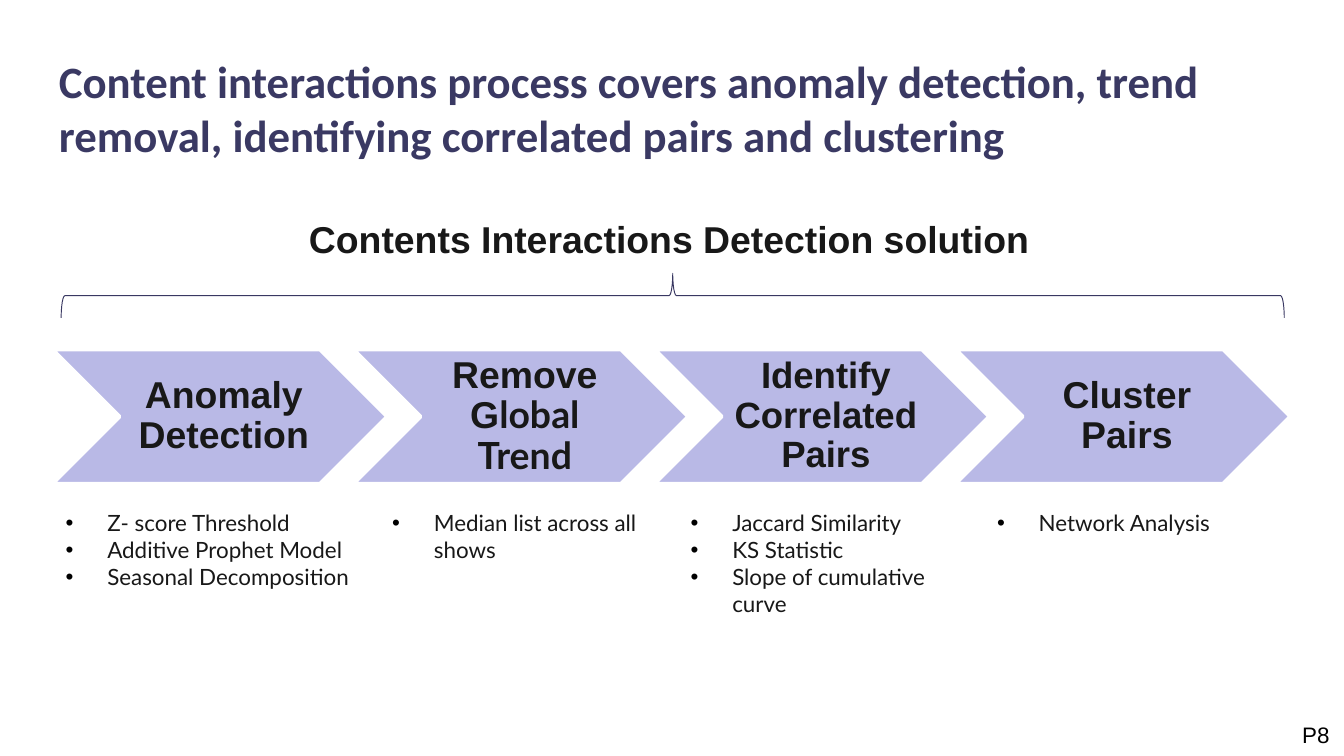
from lxml.etree import SubElement
from pptx import Presentation
from pptx.dml.color import RGBColor
from pptx.enum.shapes import MSO_SHAPE
from pptx.enum.text import MSO_ANCHOR, MSO_AUTO_SIZE, PP_ALIGN
from pptx.oxml.ns import qn
from pptx.util import Inches, Pt


def color(hex_value):
    return RGBColor.from_string(hex_value)


class ProcessSlide:
    """Draws the styled elements of a process slide."""

    INK, NAVY, LILAC, WHITE, BLACK = "181818", "393862", "B9B9E6", "FFFFFF", "000000"

    def __init__(self, slide):
        self.shapes = slide.shapes

    def style(self, font, size, name, ink, bold):
        font.size, font.name, font.bold = Pt(size), name, bold
        font.color.rgb = color(ink)

    def outline(self, shape, line, width):
        shape.shadow.inherit = False
        shape.line.color.rgb = color(line)
        shape.line.width = Pt(width)

    def frame(self, box, wrap=True, grow=True):
        frame = self.shapes.add_textbox(*map(Inches, box)).text_frame
        frame.word_wrap = wrap
        frame.auto_size = MSO_AUTO_SIZE.SHAPE_TO_FIT_TEXT if grow else MSO_AUTO_SIZE.NONE
        return frame

    def label(self, text, box, size, name="Arial", ink=INK, bold=True, wrap=False):
        frame = self.frame(box, wrap, grow=not wrap)
        paragraph = frame.paragraphs[0]
        paragraph.text = text
        self.style(paragraph.font, size, name, ink, bold)
        return frame

    def step(self, left, parts, size):
        top, width, height = 2.6, 2.49, 1
        chevron = self.shapes.add_shape(
            MSO_SHAPE.CHEVRON, *map(Inches, (left, top, width, height)))
        chevron.fill.solid()
        chevron.fill.fore_color.rgb = color(self.LILAC)
        self.outline(chevron, self.WHITE, 2)

        caption = self.frame((left + 0.5, top, width - 1, height), grow=False)
        caption.vertical_anchor = MSO_ANCHOR.MIDDLE
        caption.margin_left = Inches(0.09)
        caption.margin_top = caption.margin_right = caption.margin_bottom = Inches(0.03)
        paragraph = caption.paragraphs[0]
        paragraph.alignment = PP_ALIGN.CENTER
        paragraph.line_spacing = 0.9
        for text, name in parts:
            run = paragraph.add_run()
            run.text = text
            self.style(run.font, size, name, self.INK, True)

    def bullets(self, left, items):
        frame = self.frame((left, 3.74, 2.35, 0.1 + 0.2 * len(items)))
        for index, item in enumerate(items):
            paragraph = frame.add_paragraph() if index else frame.paragraphs[0]
            paragraph.text = item
            properties = paragraph._p.get_or_add_pPr()
            properties.set("marL", str(Inches(0.31)))
            properties.set("indent", str(Inches(-0.31)))
            bullet_color = SubElement(properties, qn("a:buClr"))
            SubElement(bullet_color, qn("a:srgbClr"), val=self.BLACK)
            SubElement(properties, qn("a:buFont"), typeface="Arial")
            SubElement(properties, qn("a:buChar"), char="•")
            self.style(paragraph.font, 12, "Lato", self.INK, False)

    def brace(self, box):
        brace = self.shapes.add_shape(MSO_SHAPE.LEFT_BRACE, *map(Inches, box))
        brace.rotation = 90
        brace.fill.background()
        self.outline(brace, self.NAVY, 0.5)


STEPS = [
    ([("Anomaly Detection", "Arial")], 20, 0.39,
     ["Z- score Threshold", "Additive Prophet Model", "Seasonal Decomposition"]),
    ([("Remove G", "Arial"), ("lobal Trend", "Lato")], 20, 2.82,
     ["Median list across all shows"]),
    ([("Identify Correlated Pairs", "Arial")], 19.6, 5.04,
     ["Jaccard Similarity", "KS Statistic", "Slope of cumulative curve"]),
    ([("Cluster Pairs", "Arial")], 20, 7.32, ["Network Analysis"]),
]


def main():
    presentation = Presentation()
    presentation.slide_width = Inches(10)
    presentation.slide_height = Inches(10 * 9 / 16)
    process = ProcessSlide(presentation.slides.add_slide(presentation.slide_layouts[6]))

    for index, (parts, size, _, _) in enumerate(STEPS):
        process.step(0.39 + 2.24 * index, parts, size)
    process.label("Contents Interactions Detection solution", (2.2, 1.56, 5.61, 0.44), 20)
    process.brace((4.84, -2.35, 0.33, 9.1))
    process.label("P8", (9.59, 5.32, 0.41, 0.3), 12, ink=process.BLACK, bold=False)
    for _, _, left, items in STEPS:
        process.bullets(left, items)

    title = process.label(
        "Content interactions process covers anomaly detection, trend removal, "
        "identifying correlated pairs and clustering",
        (0.34, 0.3, 9.01, 0.91), 24, "Calibri", "3A3963", wrap=True)
    title.margin_top = title.margin_bottom = Inches(0.1)

    presentation.save("out.pptx")


if __name__ == "__main__":
    main()
